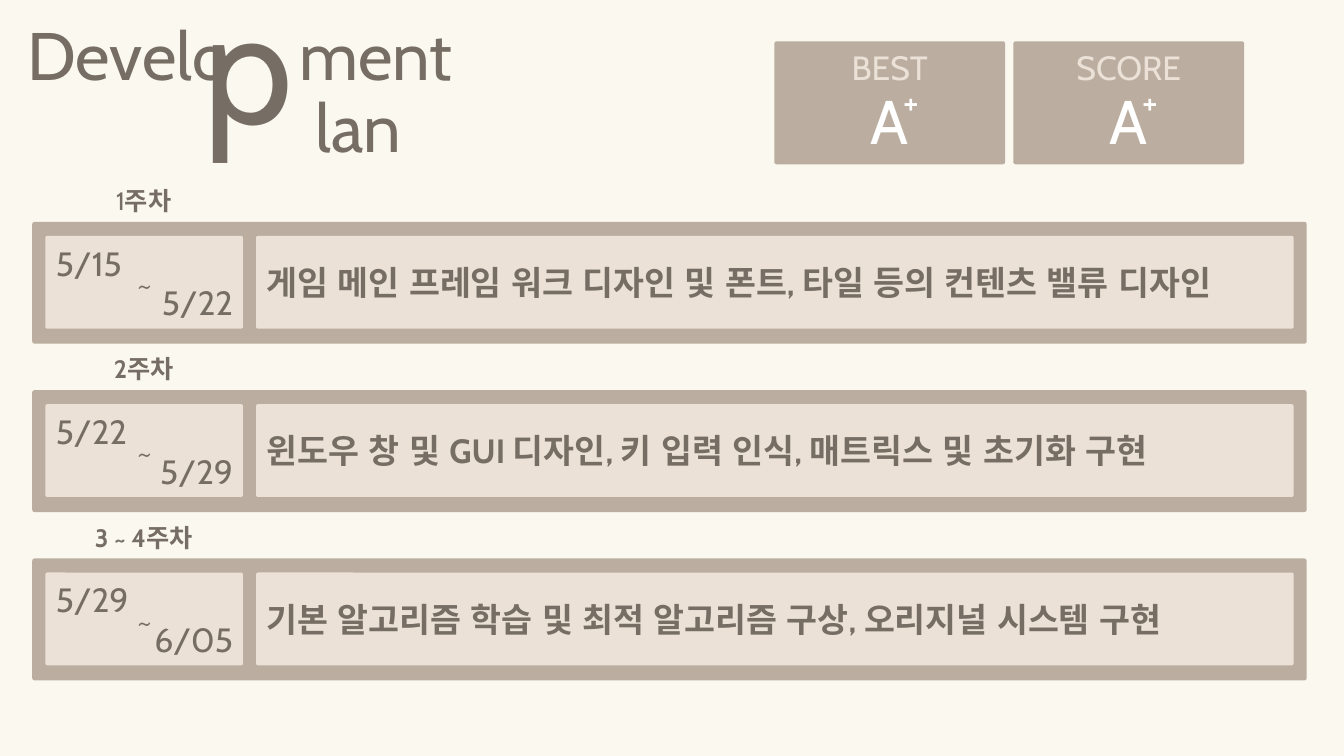
from pptx import Presentation
from pptx.dml.color import RGBColor
from pptx.enum.lang import MSO_LANGUAGE_ID
from pptx.enum.shapes import MSO_SHAPE
from pptx.enum.text import MSO_ANCHOR, MSO_AUTO_SIZE, PP_ALIGN
from pptx.oxml import parse_xml
from pptx.oxml.ns import nsdecls
from pptx.util import Inches, Pt

PAPER, FRAME, PANEL, INK, WHITE = "FAF8EF", "BBADA0", "EBE1D7", "766D64", "FFFFFF"
LEFT, CENTER, RIGHT = PP_ALIGN.LEFT, PP_ALIGN.CENTER, PP_ALIGN.RIGHT


def rgb(value):
    return RGBColor.from_string(value)


def cells(n):
    """Length of n grid cells; a cell is a tenth of an inch."""
    return Inches(n / 10)


class PlanSlide:
    font = "Cabin"

    def __init__(self, prs):
        self.s = prs.slides.add_slide(prs.slide_layouts[5])
        fill = self.s.background.fill
        fill.solid()
        fill.fore_color.rgb = rgb(PAPER)

    def set_text(self, sp, runs, size, color=INK, align=LEFT, anchor=MSO_ANCHOR.TOP, top=0.5):
        """Fill sp with one paragraph; runs is a list of (text, bold)."""
        tf = sp.text_frame
        frame = {"word_wrap": True, "auto_size": MSO_AUTO_SIZE.NONE,
                 "vertical_anchor": anchor, "margin_top": cells(top),
                 "margin_bottom": cells(0.5), "margin_left": cells(1), "margin_right": cells(1)}
        for name, value in frame.items():
            setattr(tf, name, value)
        p = tf.paragraphs[0]
        p.alignment = align
        for text, bold in runs:
            r = p.add_run()
            r.text = text
            style = {"name": self.font, "size": Pt(size), "bold": bold,
                     "language_id": MSO_LANGUAGE_ID.KOREAN}
            for name, value in style.items():
                setattr(r.font, name, value)
            r.font.color.rgb = rgb(color)
        return p

    def title(self, text, box, size, tab):
        sp = self.s.shapes.title
        for name, value in zip(("left", "top", "width", "height"), box):
            setattr(sp, name, cells(value))
        p = self.set_text(sp, [(text, False)], size)
        p._p.get_or_add_pPr().append(parse_xml(
            f'<a:tabLst {nsdecls("a")}><a:tab pos="{cells(tab)}" algn="l"/></a:tabLst>'))

    def panel(self, box, color):
        sp = self.s.shapes.add_shape(MSO_SHAPE.ROUNDED_RECTANGLE, *map(cells, box))
        sp.adjustments[0] = 0.02
        sp.shadow.inherit = False
        sp.fill.solid()
        sp.fill.fore_color.rgb = rgb(color)
        sp.line.fill.background()
        return sp

    def text(self, box, text, size, color=INK, align=CENTER):
        sp = self.s.shapes.add_textbox(*map(cells, box))
        self.set_text(sp, [(text, False)], size, color, align)

    def score(self, x, label, grade, sign):
        self.panel((x, 4.1, 22.9, 12.2), FRAME)
        self.text((x, 4.2, 22.9, 5), label, 24, PANEL)
        self.text((x, 7.7, 22.9, 8.4), grade, 44, WHITE)
        self.text((x + 11.8, 7.5, 2.8, 5), sign, 24, WHITE)

    def week(self, y, label, start, end, task):
        sp = self.s.shapes.add_textbox(*map(cells, (7.4, y - 4.1, 13.7, 4)))
        self.set_text(sp, label, 18, align=CENTER)
        self.panel((3.2, y, 126.4, 12.1), FRAME)
        dates = self.panel((4.5, y + 1.4, 19.6, 9.2), PANEL)
        self.set_text(dates, [(start, False)], 24, top=0.6)
        self.text((12.6, y + 3.5, 3.4, 5), "~", 24)
        self.text((13.4, y + 5.5, 10.7, 5), end, 24, align=RIGHT)
        work = self.panel((25.4, y + 1.4, 102.9, 9.2), PANEL)
        self.set_text(work, [(task, True)], 24, anchor=MSO_ANCHOR.MIDDLE)


def main():
    prs = Presentation()
    prs.slide_width, prs.slide_height = Inches(13.33), Inches(7.5)
    plan = PlanSlide(prs)

    plan.title("Develo\tment", (1.7, 0.8, 57.9, 9.1), 48, tab=27)
    plan.text((2.4, 8, 38.4, 9.1), "lan", 48, align=RIGHT)
    plan.text((16.3, -4.1, 16.7, 20.4), "p", 115)

    for i, label in enumerate(("BEST", "SCORE")):
        plan.score(76.8 + 23.7 * i, label, "A", "+")

    weeks = [
        ([("1", False), ("주차", True)], "5/15", "5/22",
         "게임 메인 프레임 워크 디자인 및 폰트, 타일 등의 컨텐츠 밸류 디자인"),
        ([("2주차", True)], "5/22", "5/29",
         "윈도우 창 및 GUI 디자인, 키 입력 인식, 매트릭스 및 초기화 구현"),
        ([("3 ~ 4주차", True)], "5/29", "6/05",
         "기본 알고리즘 학습 및 최적 알고리즘 구상, 오리지널 시스템 구현"),
    ]
    for i, week in enumerate(weeks):
        plan.week(22 + 16.7 * i, *week)

    prs.save("out.pptx")


if __name__ == "__main__":
    main()
